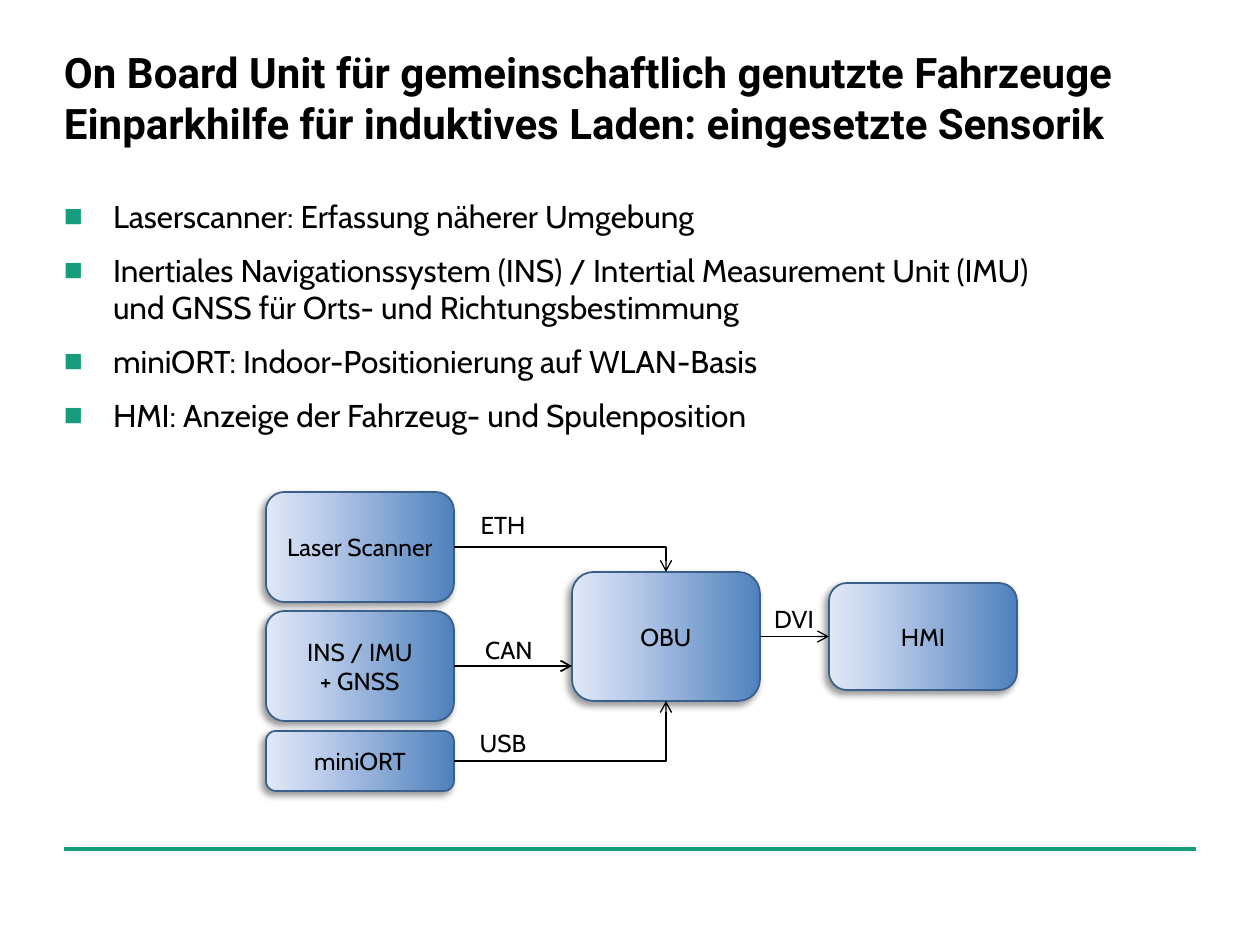
from pptx import Presentation
from pptx.dml.color import RGBColor
from pptx.enum.shapes import MSO_CONNECTOR, MSO_SHAPE
from pptx.enum.text import MSO_ANCHOR, PP_ALIGN
from pptx.oxml import parse_xml
from pptx.oxml.ns import nsdecls
from pptx.util import Pt

ROUND = MSO_SHAPE.ROUNDED_RECTANGLE
STRAIGHT, ELBOW = MSO_CONNECTOR.STRAIGHT, MSO_CONNECTOR.ELBOW
TOP, MIDDLE = MSO_ANCHOR.TOP, MSO_ANCHOR.MIDDLE
LEFT, CENTER = PP_ALIGN.LEFT, PP_ALIGN.CENTER

COLORS = {"text": "000000", "green": "179C7D", "edge": "3A5F8C"}
STOPS = [(0, "4F81BD"), (75, "C2D1ED"), (100, "E1E8F5")]

TITLE = ("On Board Unit für gemeinschaftlich genutzte Fahrzeuge\n"
         "Einparkhilfe für induktives Laden: eingesetzte Sensorik")
POINTS = [
    "Laserscanner: Erfassung näherer Umgebung",
    "Inertiales Navigationssystem (INS) / Intertial Measurement Unit (IMU) \n"
    "und GNSS für Orts- und Richtungsbestimmung",
    "miniORT: Indoor-Positionierung auf WLAN-Basis",
    "HMI: Anzeige der Fahrzeug- und Spulenposition",
]
BOX_W = 188
BOXES = {
    "obu": (["OBU"], 572, 572, 129),
    "laser": (["Laser Scanner"], 266, 492, 110),
    "ins": (["INS / IMU", "+ GNSS"], 266, 611, 110),
    "hmi": (["HMI"], 829, 583, 107),
    "indoor": (["miniORT"], 266, 731, 60),
}
LINKS = [("ins", "obu", "left", 1), ("laser", "obu", "top", 0.75),
         ("indoor", "obu", "bottom", 0.75), ("obu", "hmi", "left", 0.75)]
LABELS = [("CAN", 438, 629, 142), ("DVI", 760, 598, 68),
          ("ETH", 432, 504, 142), ("USB", 432, 722, 142)]


def px(n):
    return round(n * 914400 / 126)


def rgb(name):
    return RGBColor.from_string(COLORS[name])


def style(para, size, font="Cabin", bold=False, align=LEFT):
    para.alignment = align
    para.font.size = Pt(size)
    para.font.name = font
    para.font.bold = bold
    para.font.color.rgb = rgb("text")


def place(shape, *rect):
    shape.left, shape.top, shape.width, shape.height = map(px, rect)
    frame = shape.text_frame
    frame.vertical_anchor = TOP
    frame.margin_left = frame.margin_right = 0
    frame.margin_top = frame.margin_bottom = 0
    return frame


def write(frame, lines):
    frame.word_wrap = True
    for i, line in enumerate(lines):
        para = frame.add_paragraph() if i else frame.paragraphs[0]
        para.text = line
        style(para, 14, align=CENTER)


def bullet(para):
    props = para._p.get_or_add_pPr()
    props.set("marL", str(px(49)))
    props.set("indent", str(px(-49)))
    ns = nsdecls("a")
    props.append(parse_xml(f'<a:buClr {ns}><a:srgbClr val="{COLORS["green"]}"/></a:buClr>'))
    props.append(parse_xml(f'<a:buFont {ns} typeface="Arial"/>'))
    props.append(parse_xml(f'<a:buChar {ns} char="■"/>'))


def add_box(shapes, lines, x, y, h):
    box = shapes.add_shape(ROUND, px(x), px(y), px(BOX_W), px(h))
    box.line.color.rgb = rgb("edge")
    box.line.width = Pt(1)
    box.shadow.inherit = False
    ns = nsdecls("a")
    stops = "".join(f'<a:gs pos="{pos * 1000}"><a:srgbClr val="{tint}"/></a:gs>'
                    for pos, tint in STOPS)
    props = box._element.spPr
    props.insert(2, parse_xml(
        f'<a:gradFill {ns} rotWithShape="1"><a:gsLst>{stops}</a:gsLst>'
        '<a:lin ang="10800000" scaled="0"/></a:gradFill>'))
    props[-1].append(parse_xml(
        f'<a:outerShdw {ns} blurRad="50800" dist="38100" dir="8100000" algn="tr" rotWithShape="0">'
        f'<a:srgbClr val="{COLORS["text"]}"><a:alpha val="40000"/></a:srgbClr></a:outerShdw>'))
    box.text_frame.vertical_anchor = MIDDLE
    write(box.text_frame, lines)


def add_line(shapes, kind, ends, color, width, arrow=True):
    line = shapes.add_connector(kind, *map(px, ends))
    line.line.color.rgb = rgb(color)
    line.line.width = Pt(width)
    props = line._element.spPr
    if kind == ELBOW:
        props.prstGeom.set("prst", "bentConnector2")
    if arrow:
        props[-1].append(parse_xml(f'<a:tailEnd {nsdecls("a")} type="arrow"/>'))
    props.append(parse_xml(f'<a:effectLst {nsdecls("a")}/>'))


def add_link(shapes, start, end, side, width):
    _, x, y, h = BOXES[start]
    _, to_x, to_y, to_h = BOXES[end]
    x, y = x + BOX_W, y + h / 2
    if side == "left":
        add_line(shapes, STRAIGHT, (x, y, to_x, y), "text", width)
    else:
        edge = to_y if side == "top" else to_y + to_h
        add_line(shapes, ELBOW, (x, y, to_x + BOX_W / 2, edge), "text", width)


def main():
    deck = Presentation()
    deck.slide_width, deck.slide_height = px(1260), px(945)
    slide = deck.slides.add_slide(deck.slide_layouts[1])
    shapes = slide.shapes
    title, body = slide.placeholders

    head = place(title, 64, 47, 1160, 102).paragraphs[0]
    head.text = TITLE
    style(head, 24, "Roboto", True)

    frame = place(body, 64, 197, 1131, 464)
    for i, point in enumerate(POINTS):
        para = frame.add_paragraph() if i else frame.paragraphs[0]
        para.text = point
        bullet(para)
        style(para, 18)
        para.space_before, para.space_after = Pt(0), Pt(9)

    add_line(shapes, STRAIGHT, (64, 849, 1196, 849), "green", 2.5, False)
    for box in BOXES.values():
        add_box(shapes, *box)
    for link in LINKS:
        add_link(shapes, *link)
    for text, x, y, w in LABELS:
        label = shapes.add_textbox(px(x), px(y), px(w), px(43))
        write(label.text_frame, [text])

    deck.save("out.pptx")


if __name__ == "__main__":
    main()
